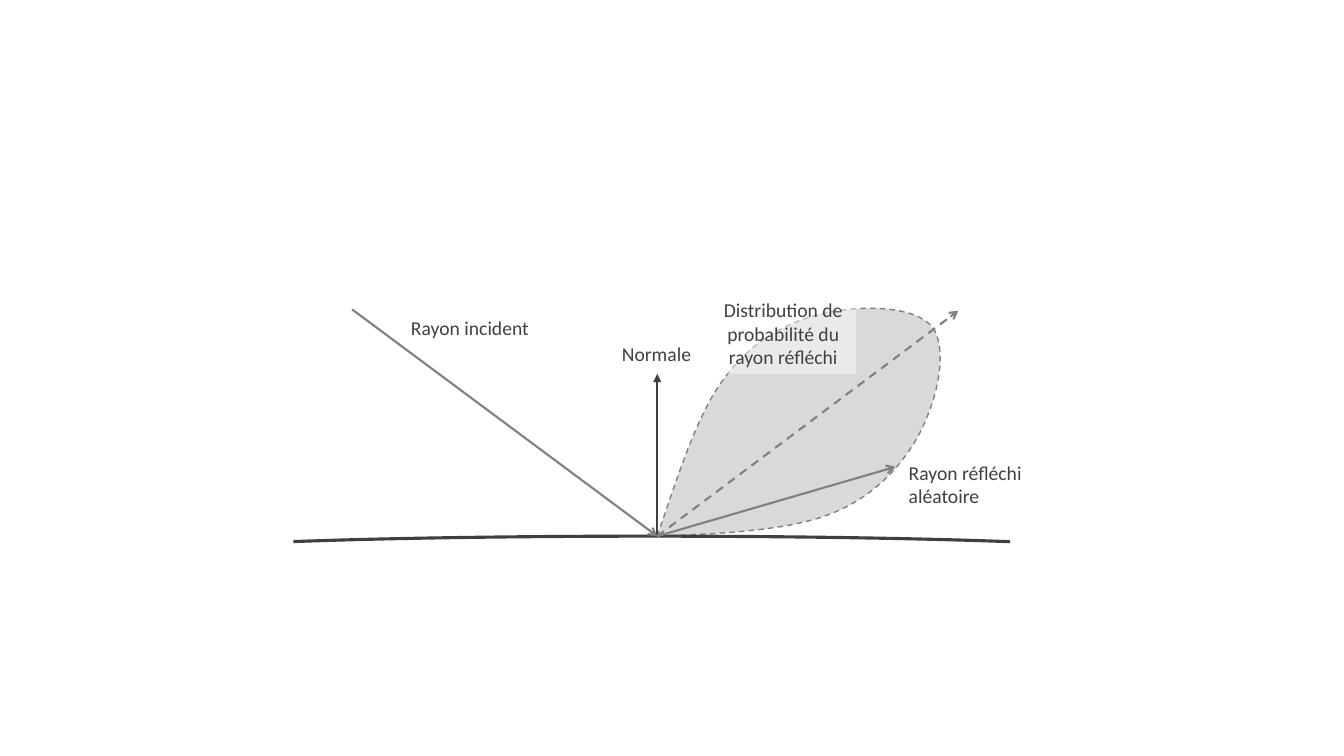
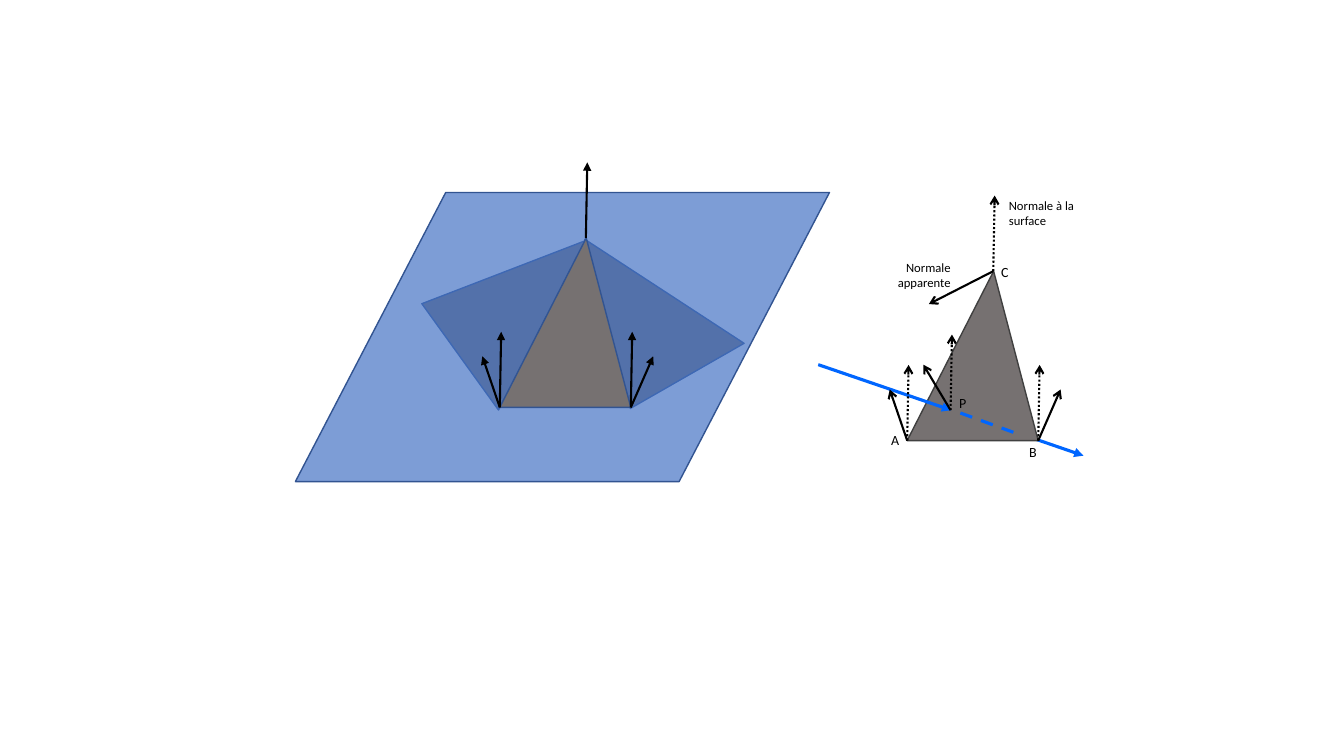
import dataclasses
import typing

import lxml.etree
import pptx
import pptx.dml.color
import pptx.enum.dml
import pptx.enum.shapes
import pptx.enum.text
import pptx.oxml.ns
import pptx.util

Pt = pptx.util.Pt
qn = pptx.oxml.ns.qn
Preset = pptx.enum.shapes.MSO_SHAPE
Dash = pptx.enum.dml.MSO_LINE
Align = pptx.enum.text.PP_ALIGN
Anchor = pptx.enum.text.MSO_ANCHOR
Point = tuple[float, float]

FONT = "Calibri"
COLORS = {
    "dark": "404040",
    "gray": "808080",
    "lobe": "D9D9D9",
    "white": "FFFFFF",
    "black": "000000",
    "stone": "767171",
    "plane": "4472C4",
    "edge": "325491",
    "ray": "0066FF",
}


@dataclasses.dataclass
class Line:
    start: Point
    end: Point
    color: str = "black"
    width: float = 1.5
    head: typing.Optional[str] = "arrow"
    dash: typing.Any = None


@dataclasses.dataclass
class Label:
    text: str
    left: float
    top: float
    width: float
    height: float
    size: float
    color: str = "black"
    align: typing.Any = Align.LEFT


@dataclasses.dataclass
class Figure:
    preset: typing.Any
    left: float
    top: float
    width: float
    height: float
    adjustments: tuple[float, ...] = ()
    fill: typing.Optional[str] = None
    opacity: int = 100
    outline: typing.Optional[str] = None
    weight: float = 1
    rotation: float = 0


def rgb(name: str) -> pptx.dml.color.RGBColor:
    return pptx.dml.color.RGBColor.from_string(COLORS[name])


def shift(point: Point, move: Point) -> Point:
    return point[0] + move[0], point[1] + move[1]


def paint(shape, fill: typing.Optional[str], outline: typing.Optional[str],
          weight: float = 1, opacity: int = 100) -> None:
    shape.shadow.inherit = False
    for target, color in ((shape.fill, fill), (shape.line.fill, outline)):
        if color:
            target.solid()
            target.fore_color.rgb = rgb(color)
        else:
            target.background()
    if outline:
        shape.line.width = Pt(weight)
    if opacity < 100:
        color_element = shape._element.spPr.find(qn("a:solidFill"))[0]
        lxml.etree.SubElement(color_element, qn("a:alpha"), val=str(opacity * 1000))


def draw_figure(slide, figure: Figure):
    box = (figure.left, figure.top, figure.width, figure.height)
    shape = slide.shapes.add_shape(figure.preset, *map(Pt, box))
    for index, value in enumerate(figure.adjustments):
        shape.adjustments[index] = value
    shape.rotation = figure.rotation
    paint(shape, figure.fill, figure.outline, figure.weight, figure.opacity)
    return shape


def draw_line(slide, line: Line) -> None:
    connector = slide.shapes.add_connector(
        pptx.enum.shapes.MSO_CONNECTOR.STRAIGHT, *map(Pt, line.start + line.end))
    connector.line.color.rgb = rgb(line.color)
    connector.line.width = Pt(line.width)
    if line.dash:
        connector.line.dash_style = line.dash
    properties = connector._element.spPr
    if line.head:
        lxml.etree.SubElement(properties.find(qn("a:ln")), qn("a:tailEnd"), type=line.head)
    lxml.etree.SubElement(properties, qn("a:effectLst"))


def write_text(shape, label: Label) -> None:
    frame = shape.text_frame
    frame.word_wrap = True
    paragraph = frame.paragraphs[0]
    paragraph.alignment = label.align
    run = paragraph.add_run()
    run.text = label.text
    for name, value in {"name": FONT, "size": Pt(label.size)}.items():
        setattr(run.font, name, value)
    run.font.color.rgb = rgb(label.color)


def draw_label(slide, label: Label) -> None:
    box = (label.left, label.top, label.width, label.height)
    write_text(slide.shapes.add_textbox(*map(Pt, box)), label)


def curve_points(start: Point, curves: typing.Sequence[tuple[Point, Point, Point]],
                 steps: int = 16) -> list[Point]:
    """Points along a chain of cubic Bézier curves, without the start."""
    points = []
    for first, second, end in curves:
        for step in range(1, steps + 1):
            t = step / steps
            weights = ((1 - t) ** 3, 3 * t * (1 - t) ** 2, 3 * t * t * (1 - t), t ** 3)
            corners = (start, first, second, end)
            points.append(tuple(
                sum(weight * corner[axis] for weight, corner in zip(weights, corners))
                for axis in (0, 1)))
        start = end
    return points


def draw_lobe(slide, start: Point) -> None:
    curves = [
        ((483, 344), (497.5, 296), (517.5, 270)),
        ((537, 243.5), (563, 229.5), (588, 224)),
        ((613.5, 218), (655, 217.5), (667, 235)),
        ((678, 254), (667.5, 291), (655, 313)),
        ((642, 335.5), (622, 356.5), (591, 368)),
        ((560, 379.5), (510.5, 381.5), start),
    ]
    builder = slide.shapes.build_freeform(*map(Pt, start), scale=1.0)
    builder.add_line_segments(
        [(Pt(x), Pt(y)) for x, y in curve_points(start, curves)], close=True)
    lobe = builder.convert_to_shape()
    paint(lobe, "lobe", "gray")
    lobe.line.dash_style = Dash.DASH


def build_reflection(slide) -> None:
    impact = (469.5, 383)
    draw_lobe(slide, impact)
    draw_figure(slide, Figure(Preset.ARC, 106.5, 383, 716, 26, (109.23, 214.79),
                              outline="dark", weight=2.25))
    for line in (
        Line(impact, (469.5, 267), "dark", head="triangle"),
        Line((251.5, 221), impact, "gray"),
        Line(impact, (684.5, 222), "gray", dash=Dash.DASH),
    ):
        draw_line(slide, line)
    for text, left, top, height, align in (
        ("Rayon incident", 286.5, 222, 24.5, Align.LEFT),
        ("Normale", 412, 240.5, 24.5, Align.CENTER),
        ("Rayon réfléchi aléatoire", 642, 325.5, 41, Align.LEFT),
    ):
        draw_label(slide, Label(text, left, top, 114, height, 14, "dark", align))
    box = (507.5, 209, 104, 58)
    caption = draw_figure(slide, Figure(Preset.RECTANGLE, *box, fill="white", opacity=47))
    caption.text_frame.vertical_anchor = Anchor.MIDDLE
    write_text(caption, Label("Distribution de probabilité du rayon réfléchi", *box,
                              14, "dark", Align.CENTER))
    draw_line(slide, Line(impact, (639.5, 333.5), "gray"))


TRIANGLE_SIZE = (93.6, 121)
APEX = 0.66
CORNERS = {"A": (0, 121), "B": (93.6, 121), "C": (61.5, 0)}
TILTS = {"A": (-12.5, -36.5), "B": (16, -36.5), "C": (-46, 23.5), "P": (-19.5, -32.5)}
UPWARD = (1, -54)


def triangle(corner: Point, outline: str, apex: float = APEX, rotation: float = 0) -> Figure:
    return Figure(Preset.ISOSCELES_TRIANGLE, *corner, *TRIANGLE_SIZE, (apex,),
                  fill="stone", outline=outline, rotation=rotation)


def draw_normals(slide, points: dict[str, Point], tilted: str, head: str,
                 dash: typing.Any = None) -> None:
    """Surface normal at every point, apparent normal at the tilted ones."""
    for name, point in points.items():
        draw_line(slide, Line(point, shift(point, UPWARD), head=head, dash=dash))
        if name in tilted:
            draw_line(slide, Line(point, shift(point, TILTS[name]), head=head))


def build_normals(slide) -> None:
    left_corner, right_corner = (357, 170), (648, 193.7)
    entry = (679.5, 293)
    draw_line(slide, Line(entry, (774, 325.5), "ray", 2.25, "triangle"))
    for figure in (
        triangle((414, 155.5), "edge", 1 - APEX, 330.2),
        triangle((331, 159), "edge", 1 - APEX, 54.2),
        Figure(Preset.PARALLELOGRAM, 211, 137.5, 381.5, 206.5, (0.52,),
               fill="plane", opacity=69, outline="edge"),
        triangle(left_corner, "edge"),
        triangle(right_corner, "dark"),
    ):
        draw_figure(slide, figure)

    mesh, detail = (
        {name: shift(corner, offset) for name, offset in CORNERS.items()}
        for corner in (left_corner, right_corner))
    draw_normals(slide, mesh, "AB", "triangle")
    draw_line(slide, Line((584.5, 260.5), entry, "ray", 2.25, "triangle"))
    draw_line(slide, Line((686, 295), (728.5, 310.5), "ray", 2.25, None, Dash.DASH))
    draw_normals(slide, detail | {"P": (679, 293)}, "ABCP", "arrow", Dash.ROUND_DOT)

    draw_label(slide, Label("Normale à la surface", 713.5, 137.5, 73, 29, 9))
    draw_label(slide, Label("Normale apparente", 630, 182, 56, 27.5, 9, align=Align.RIGHT))
    for letter, left, top in (("C", 708, 185), ("A", 629.5, 304.5),
                              ("P", 678, 278), ("B", 728, 313)):
        draw_label(slide, Label(letter, left, top, 20, 19.5, 10))


def main() -> None:
    presentation = pptx.Presentation()
    presentation.slide_width = Pt(960)
    presentation.slide_height = Pt(540)
    blank = presentation.slide_layouts[6]
    for build in (build_reflection, build_normals):
        build(presentation.slides.add_slide(blank))
    presentation.save("out.pptx")


if __name__ == "__main__":
    main()
